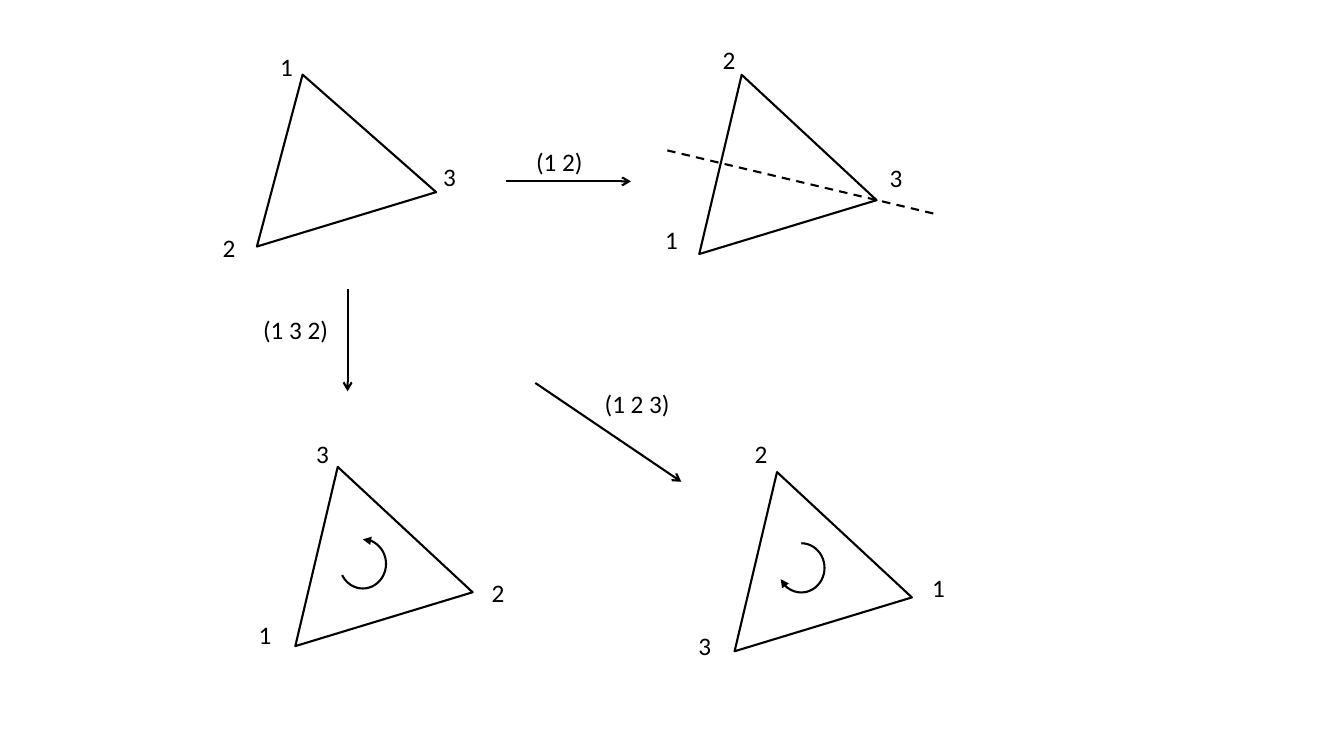
from lxml import etree
from pptx import Presentation
from pptx.dml.color import RGBColor
from pptx.enum import dml, shapes, text
from pptx.oxml.ns import qn
from pptx.util import Cm, Pt

COLORS = {"ink": "000000", "paper": "FFFFFF"}
FONT = "Calibri"
LABEL_H = 1.02
TILT = 343.1
ARC_ANGLES = (162, 90.853)

# All lengths in centimetres
# Triangle: left, top, width, height, then vertex labels with left, top
TRIANGLES = [
    ((5.82, 1.8, 4.72, 3.81),
     [("1", 6.81, 1.17), ("2", 5.36, 5.72), ("3", 10.92, 3.94)]),
    ((16.94, 1.8, 4.67, 4.01),
     [("2", 17.96, 0.99), ("1", 16.51, 5.54), ("3", 22.17, 3.96)]),
    ((6.76, 11.68, 4.67, 4.01),
     [("3", 7.72, 10.92), ("1", 6.27, 15.47), ("2", 12.14, 14.43)]),
    ((17.83, 11.81, 4.67, 4.01),
     [("2", 18.77, 10.92), ("3", 17.35, 15.77), ("1", 23.24, 14.3)]),
]
# Permutation arrow: start, end, then its label with left, top
ARROWS = [
    ((12.75, 4.57), (15.9, 4.57), ("(1 2)", 13.26, 3.56)),
    ((13.49, 9.65), (17.17, 12.14), ("(1 2 3)", 14.99, 9.65)),
    ((8.76, 7.29), (8.76, 9.86), ("(1 3 2)", 6.38, 7.8)),
]
MIRROR_AXIS = ((23.52, 5.38), (16.69, 3.76))
# Rotation arc: left, top, width, height, and the end with the arrowhead
ROTATIONS = [
    ((19.61, 13.69, 1.17, 1.24), "tailEnd"),
    ((8.56, 13.59, 1.17, 1.24), "headEnd"),
]
LABEL_WIDTHS = {1: 0.84, 5: 1.7, 7: 2.18}  # by number of characters


def color(name):
    return RGBColor.from_string(COLORS[name])


def ink_line(sp):
    sp.line.color.rgb = color("ink")
    sp.line.width = Pt(1.5)


def add_head(sp, end, kind):
    ln = sp.line._get_or_add_ln()
    etree.SubElement(ln, qn("a:" + end), type=kind)


def add_shape(slide, kind, box):
    sp = slide.shapes.add_shape(kind, *map(Cm, box))
    sp.shadow.inherit = False
    ink_line(sp)
    return sp


def add_line(slide, start, end):
    line = slide.shapes.add_connector(
        shapes.MSO_CONNECTOR.STRAIGHT, *map(Cm, start + end))
    ink_line(line)
    etree.SubElement(line._element.spPr, qn("a:effectLst"))
    return line


def add_label(slide, label, left, top):
    box = (left, top, LABEL_WIDTHS[len(label)], LABEL_H)
    tf = slide.shapes.add_textbox(*map(Cm, box)).text_frame
    tf.word_wrap = False
    tf.auto_size = text.MSO_AUTO_SIZE.SHAPE_TO_FIT_TEXT
    tf.text = label
    font = tf.paragraphs[0].runs[0].font
    font.name, font.size = FONT, Pt(18)
    font.color.rgb = color("ink")


def main():
    prs = Presentation()
    prs.slide_width, prs.slide_height = Cm(33.87), Cm(19.05)
    slide = prs.slides.add_slide(prs.slide_layouts[6])

    # Triangles with their vertex labels
    for box, labels in TRIANGLES:
        sp = add_shape(slide, shapes.MSO_SHAPE.ISOSCELES_TRIANGLE, box)
        sp.rotation = TILT
        sp.fill.solid()
        sp.fill.fore_color.rgb = color("paper")
        for label in labels:
            add_label(slide, *label)

    # Mirror axis of the reflection
    axis = add_line(slide, *MIRROR_AXIS)
    axis.line.dash_style = dml.MSO_LINE.DASH

    # Arrows named by their permutations
    for start, end, label in ARROWS:
        add_head(add_line(slide, start, end), "tailEnd", "arrow")
        add_label(slide, *label)

    # Rotation directions
    for box, end in ROTATIONS:
        arc = add_shape(slide, shapes.MSO_SHAPE.ARC, box)
        arc.fill.background()
        for i, angle in enumerate(ARC_ANGLES):
            arc.adjustments[i] = angle
        add_head(arc, end, "triangle")

    prs.save("out.pptx")


if __name__ == "__main__":
    main()
